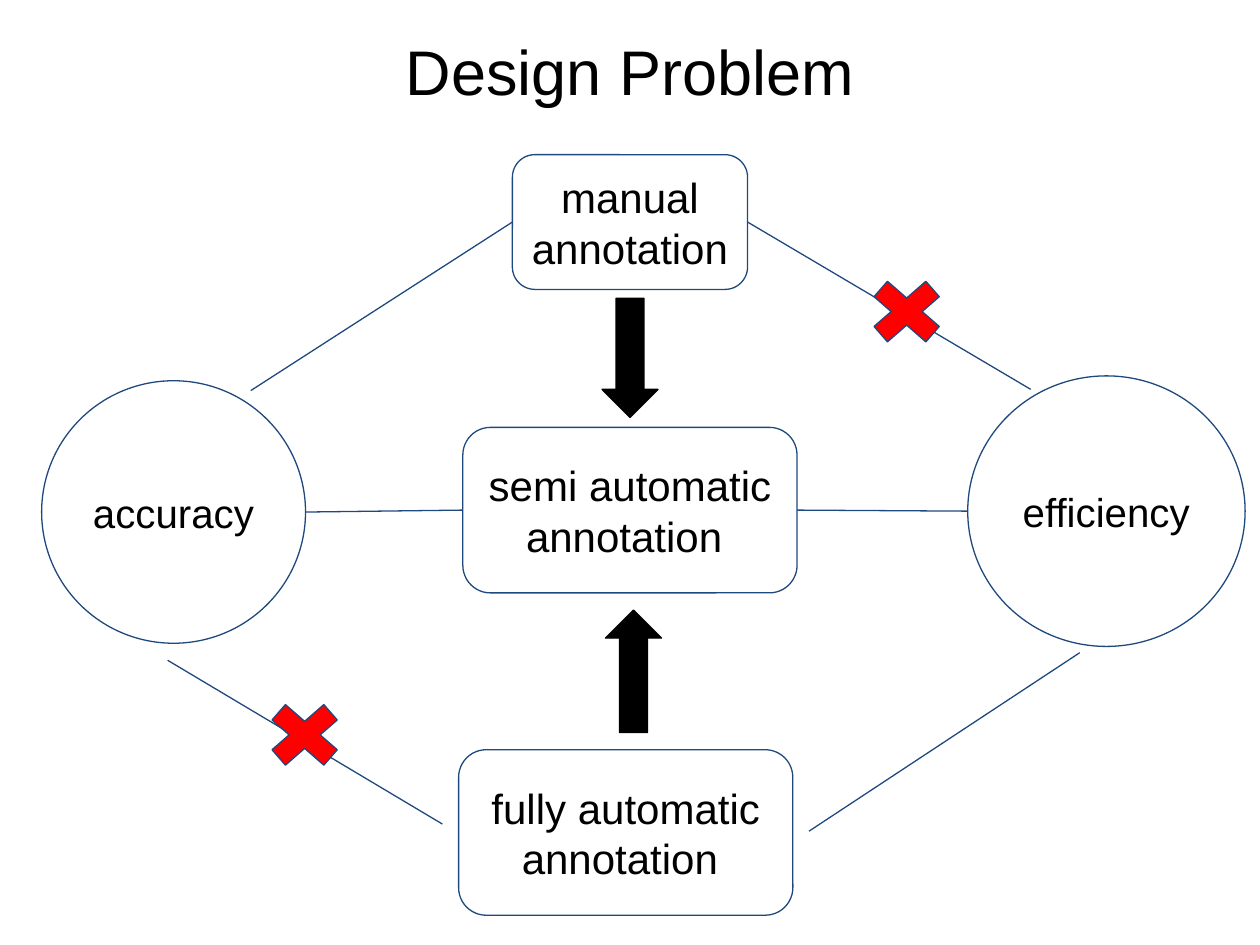
from pptx import Presentation
from pptx.dml.color import RGBColor
from pptx.enum.shapes import MSO_CONNECTOR, MSO_SHAPE
from pptx.enum.text import MSO_ANCHOR, PP_ALIGN
from pptx.oxml.ns import qn
from pptx.util import Pt

ROUNDED = MSO_SHAPE.ROUNDED_RECTANGLE
ELLIPSE = MSO_SHAPE.OVAL
CROSS = MSO_SHAPE.MATH_MULTIPLY
DOWN, UP = MSO_SHAPE.DOWN_ARROW, MSO_SHAPE.UP_ARROW
STRAIGHT = MSO_CONNECTOR.STRAIGHT
MIDDLE, CENTER = MSO_ANCHOR.MIDDLE, PP_ALIGN.CENTER
LEFT_SIDE, RIGHT_SIDE = 1, 3


def color(hex_string):
    return RGBColor.from_string(hex_string)


def write(shape, text, *, size, font, ink, inset):
    """Put one centred paragraph into the shape."""
    frame = shape.text_frame
    frame.word_wrap = True
    frame.vertical_anchor = MIDDLE
    frame.margin_left = frame.margin_right = Pt(inset)
    frame.margin_top = frame.margin_bottom = Pt(inset)
    paragraph = frame.paragraphs[0]
    paragraph.alignment = CENTER
    run = paragraph.add_run()
    run.text = text
    run.font.size = Pt(size)
    run.font.name = font
    run.font.color.rgb = color(ink)


class Diagram:
    font = "Arial"
    ink = "000000"
    outline = "1F497D"
    cross_fill = "FF0000"
    line_width = 0.75

    def __init__(self, slide):
        self.shapes = slide.shapes

    def title(self, text, *box):
        heading = self.shapes.add_textbox(*map(Pt, box))
        write(heading, text, size=36, font=self.font, ink=self.ink, inset=3)

    def shape(self, preset, box, fill=None, outline=None):
        shape = self.shapes.add_shape(preset, *map(Pt, box))
        shape.shadow.inherit = False
        if fill:
            shape.fill.solid()
            shape.fill.fore_color.rgb = color(fill)
        else:
            shape.fill.background()
        shape.line.color.rgb = color(outline or self.outline)
        shape.line.width = Pt(self.line_width)
        return shape

    def node(self, preset, text, size, *box):
        node = self.shape(preset, box)
        write(node, text, size=size, font=self.font, ink=self.ink, inset=7.2)
        return node

    def method(self, text, *box):
        return self.node(ROUNDED, text, 24, *box)

    def goal(self, text, *box):
        return self.node(ELLIPSE, text, 23, *box)

    def cross(self, left, top):
        cross = self.shape(CROSS, (left, top, 57, 49.7), self.cross_fill)
        cross.adjustments[0] = 0.235

    def arrow(self, preset, *box):
        self.shape(preset, box, self.ink, self.ink)

    def link(self, start, end, source=None, side=None):
        """Draw a line, its start joined to a side of source if given."""
        line = self.shapes.add_connector(STRAIGHT, *map(Pt, start + end))
        if source is not None:
            line.begin_connect(source, side)
        line.line.color.rgb = color(self.outline)
        line.line.width = Pt(self.line_width)
        properties = line.element.spPr
        properties.append(properties.makeelement(qn("a:effectLst"), {}))


def main():
    deck = Presentation()
    deck.slide_width, deck.slide_height = Pt(720), Pt(540)
    diagram = Diagram(deck.slides.add_slide(deck.slide_layouts[6]))

    manual = diagram.method("manual annotation ", 292.8, 88.4, 134.4, 77)
    diagram.title("Design Problem", 76.5, 15.4, 567, 49.7)
    diagram.goal("accuracy", 23.8, 217.6, 150.8, 150)
    diagram.goal("efficiency", 553, 214.8, 158.5, 154.6)
    diagram.method("fully automatic annotation ", 262.1, 428.4, 191, 94.6)
    semi = diagram.method("semi automatic annotation ", 264.5, 244.2, 191, 94.6)

    diagram.link((292.8, 126.9), (143.3, 223.2), manual, LEFT_SIDE)
    diagram.link((617, 373), (462.3, 475))
    diagram.link((264.5, 291.5), (174.6, 292.6), semi, LEFT_SIDE)
    diagram.link((455.5, 291.5), (553, 292.1), semi, RIGHT_SIDE)
    diagram.link((427.2, 126.9), (589, 222.5), manual, RIGHT_SIDE)
    diagram.link((95.8, 377.3), (252.8, 470.9))

    diagram.cross(489.6, 153.2)
    diagram.cross(145.6, 395.1)
    diagram.arrow(DOWN, 344, 170.5, 32, 68)
    diagram.arrow(UP, 346, 348.6, 32, 70)

    deck.save("out.pptx")


if __name__ == "__main__":
    main()
